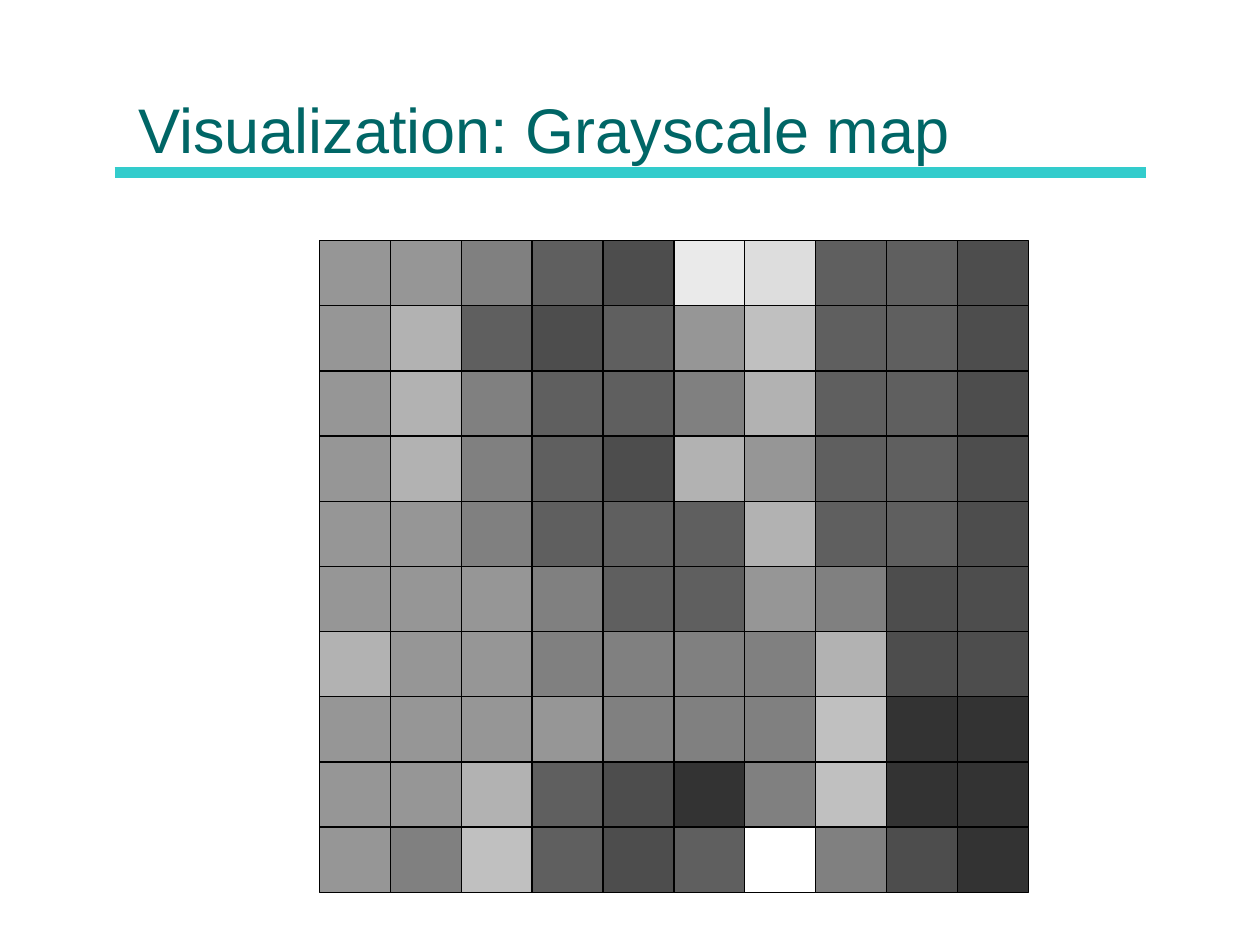
from pptx import Presentation
from pptx.dml.color import RGBColor
from pptx.enum.shapes import MSO_CONNECTOR, MSO_SHAPE
from pptx.enum.text import MSO_ANCHOR
from pptx.oxml.ns import qn
from pptx.util import Cm, Pt
from lxml import etree

STRAIGHT = MSO_CONNECTOR.STRAIGHT
RECTANGLE = MSO_SHAPE.RECTANGLE
BOTTOM = MSO_ANCHOR.BOTTOM

TEAL = RGBColor(0x00, 0x66, 0x66)
TURQUOISE = RGBColor(0x33, 0xCC, 0xCC)
BLACK = RGBColor(0x00, 0x00, 0x00)
GRAYS = [RGBColor(v, v, v) for v in
         (0x33, 0x4D, 0x5F, 0x80, 0x96, 0xB2, 0xC0, 0xDD, 0xEA, 0xFF)]

GRAY_LEVELS = [
    "4432187221",
    "4521246221",
    "4532235221",
    "4532154221",
    "4432225221",
    "4443224311",
    "5443333511",
    "4444333600",
    "4452103600",
    "4362129310",
]


def add_rule(s, left, top, width):
    """Draw the thick horizontal rule under the title."""
    line = s.shapes.add_connector(STRAIGHT, left, top, left + width, top)
    line.line.color.rgb = TURQUOISE
    line.line.width = Pt(6)
    etree.SubElement(line._element.spPr, qn("a:effectLst"))


def add_title(s, text, left, top, width, height):
    """Place the title at the bottom of its box."""
    tf = s.shapes.add_textbox(left, top, width, height).text_frame
    tf.word_wrap = True
    tf.vertical_anchor = BOTTOM
    p = tf.paragraphs[0]
    p.text = text
    p.font.name = "Arial"
    p.font.size = Pt(36)
    p.font.color.rgb = TEAL


def add_grayscale_map(s, levels, left, top, width, height):
    """Fill the box with a grouped grid of gray cells, one per level digit."""
    group = s.shapes.add_group_shape()
    cell_w = width / len(levels[0])
    cell_h = height / len(levels)
    for row, digits in enumerate(levels):
        for col, digit in enumerate(digits):
            sp = group.shapes.add_shape(
                RECTANGLE, round(left + col * cell_w), round(top + row * cell_h),
                round(cell_w), round(cell_h))
            sp.shadow.inherit = False
            sp.fill.solid()
            sp.fill.fore_color.rgb = GRAYS[int(digit)]
            sp.line.color.rgb = BLACK
            sp.line.width = Pt(0.75)


def main():
    """Build the slide and save it."""
    prs = Presentation()
    prs.slide_width, prs.slide_height = Cm(25.4), Cm(19.05)
    s = prs.slides.add_slide(prs.slide_layouts[6])
    add_rule(s, Cm(2.31), Cm(3.48), Cm(20.8))
    add_title(s, "Visualization: Grayscale map",
              Cm(2.54), Cm(0.3), Cm(20.32), Cm(3.18))
    add_grayscale_map(s, GRAY_LEVELS, Cm(6.44), Cm(4.85), Cm(14.29), Cm(13.14))
    prs.save("out.pptx")


if __name__ == "__main__":
    main()
